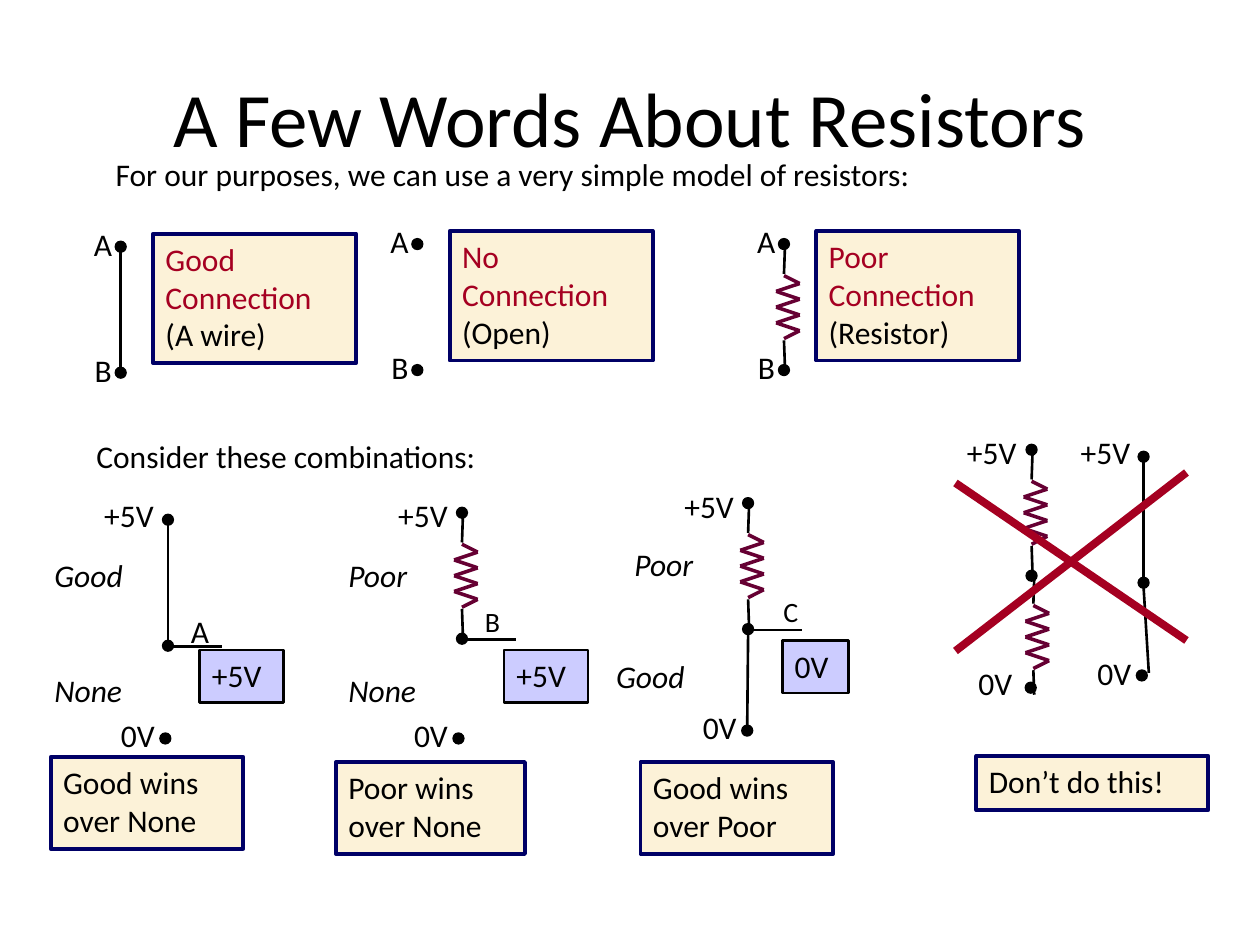
from lxml import etree
from pptx import Presentation
from pptx.dml.color import RGBColor
from pptx.enum.shapes import MSO_CONNECTOR, MSO_SHAPE
from pptx.enum.text import MSO_ANCHOR, MSO_AUTO_SIZE, PP_ALIGN
from pptx.oxml.ns import qn
from pptx.util import Pt

STRAIGHT, OVAL = MSO_CONNECTOR.STRAIGHT, MSO_SHAPE.OVAL
MIDDLE, CENTER = MSO_ANCHOR.MIDDLE, PP_ALIGN.CENTER
GROW = MSO_AUTO_SIZE.SHAPE_TO_FIT_TEXT
FONT = "Calibri"
BLACK, RED, PLUM = "000000", "A50021", "660033"
CREAM, NAVY, LILAC = "FCF2D8", "000066", "CCCCFF"
SPAN = 72  # distance between the two ends of a wire or resistor
LABEL_W = {"+5V": 47, "0V": 37, "Good": 58, "None": 57.5, "Poor": 52.5}


def rgb(value):
    return RGBColor.from_string(value)


def write(p, text, color=BLACK, size=18, italic=False):
    """Add runs to a paragraph, with a line break at each newline."""
    for i, part in enumerate(text.split("\n")):
        if i:
            p.add_line_break()
        if part:
            r = p.add_run()
            r.text = part
            f = r.font
            f.name, f.size, f.italic = FONT, Pt(size), italic
            f.color.rgb = rgb(color)


def add_text(shapes, text, x, y, w, h=29, wrap=False, fill=None, line=None,
             weight=1.5, lead="", **fmt):
    """Text box; lead is an opening part in red."""
    sp = shapes.add_textbox(Pt(x), Pt(y), Pt(w), Pt(h))
    tf = sp.text_frame
    tf.word_wrap, tf.auto_size = wrap, GROW
    if fill:
        sp.fill.solid()
        sp.fill.fore_color.rgb = rgb(fill)
        sp.line.color.rgb = rgb(line)
        sp.line.width = Pt(weight)
    p = tf.paragraphs[0]
    write(p, lead, color=RED)
    write(p, text, **fmt)


def add_label(shapes, text, x, y, **fmt):
    add_text(shapes, text, x, y, LABEL_W.get(text, 26.5), **fmt)


def add_note(shapes, text, x, y, w, h, lead=""):
    add_text(shapes, text, x, y, w, h, wrap=True, fill=CREAM, line=NAVY,
             weight=2.25, lead=lead)


def add_line(shapes, x1, y1, x2, y2, color=BLACK, weight=1.5):
    c = shapes.add_connector(STRAIGHT, Pt(x1), Pt(y1), Pt(x2), Pt(y2))
    c.line.color.rgb = rgb(color)
    c.line.width = Pt(weight)
    etree.SubElement(c._element.spPr, qn("a:effectLst"))


def add_dot(shapes, x, y):
    sp = shapes.add_shape(OVAL, Pt(x - 3), Pt(y - 3), Pt(6), Pt(6))
    sp.shadow.inherit = False
    sp.fill.solid()
    sp.fill.fore_color.rgb = rgb(BLACK)
    sp.line.color.rgb = rgb(BLACK)
    sp.line.width = Pt(1)


def add_node(shapes, text, x, y, dx, dy):
    """Dot with its label placed relative to it."""
    add_dot(shapes, x, y)
    add_label(shapes, text, x + dx, y + dy)


def add_wire(shapes, x, y):
    add_line(shapes, x, y + 3, x, y + SPAN - 3)


def add_resistor(shapes, x, y):
    """Zigzag of eight strokes between two short leads."""
    offsets = [0] + [9, -4.5] * 3 + [9, 0]
    pts = [(x + dx, y + 18 + 4.5 * i) for i, dx in enumerate(offsets)]
    for a, b in zip(pts, pts[1:]):
        add_line(shapes, *a, *b, color=PLUM, weight=2)
    add_line(shapes, x + 0.5, y + 3, x, y + 17)
    add_line(shapes, x + 0.5, y + SPAN - 3, x, y + 55)


def add_model(s, x, y, lead, text, link=None):
    """Two ends A and B, what links them, and a note."""
    g = s.shapes.add_group_shape().shapes
    add_node(g, "A", x, y, -22.5, -16)
    add_node(g, "B", x, y + SPAN, -22, -16)
    if link:
        link(g, x, y)
    add_note(g, text, x + 18.5, y - 7.5, 116, 74, lead=lead)


def add_combination(s, x, y, link, supply_dy, ground, upper, lower, tap, out,
                    verdict, linked=False):
    """Supply over tap over ground; each part is (text, x, y, ...)."""
    g = s.shapes.add_group_shape().shapes
    mid = y + SPAN
    add_node(g, "+5V", x, y, -43.5, supply_dy)
    add_dot(g, x, mid)
    link(g, x, y)
    add_node(g, "0V", *ground, -32.5, -16.5)
    if linked:
        add_line(g, ground[0], ground[1] - 3, x, mid + 3)
    for part in (upper, lower):
        add_label(g, *part, italic=True)
    # Output at the tap
    text, tx, ty, size = tap
    add_label(g, text, tx, ty, size=size)
    add_line(g, x + 1.5, mid + 0.5, x + 31, mid + 0.5)
    add_text(g, *out, h=30, fill=LILAC, line=BLACK)
    add_note(g, *verdict, 52.5)


def add_bad_circuits(s):
    """Crossed-out circuits: two resistors, and two wires."""
    g = s.shapes.add_group_shape().shapes
    x, y = 589.5, 257
    add_node(g, "+5V", x, y, -44, -13)
    add_dot(g, x, y + SPAN)
    add_node(g, "0V", 589, 393, -37, -17)
    add_resistor(g, x, y)
    add_resistor(g, x + 1, y + 71)

    x, y = 653.5, 261
    add_node(g, "+5V", x, y, -43, -17)
    add_dot(g, x, y + SPAN)
    add_node(g, "0V", 652.5, 386, -32.5, -16)
    add_wire(g, x, y)
    add_line(g, 656.5, 384.5, x, y + SPAN + 3)

    # Cross and warning
    add_line(g, 546, 276, 678, 366, color=RED, weight=4.5)
    add_line(g, 546, 372, 678, 270, color=RED, weight=4.5)
    add_note(g, "Don’t do this!", 558, 432, 132.5, 31)


def add_title(s, text):
    sp = s.shapes.title
    sp.left, sp.top, sp.width, sp.height = Pt(36), Pt(21.5), Pt(648), Pt(90)
    tf = sp.text_frame
    tf.vertical_anchor = MIDDLE
    p = tf.paragraphs[0]
    p.alignment = CENTER
    write(p, text, size=44)


def main():
    prs = Presentation()
    prs.slide_width, prs.slide_height = Pt(720), Pt(540)
    s = prs.slides.add_slide(prs.slide_layouts[5])
    add_title(s, "A Few Words About Resistors")

    # Three kinds of connection
    add_text(s.shapes, "For our purposes, we can use a very simple model of "
             "resistors:", 59, 85, 571, 31)
    add_model(s, 238.5, 139.5, "No\nConnection\n", "(Open)")
    add_model(s, 69, 141, "Good\nConnection\n", "(A wire)", add_wire)
    add_model(s, 448, 139.5, "Poor\nConnection\n", "(Resistor)", add_resistor)

    # Combinations
    add_text(s.shapes, "Consider these combinations:", 48, 246, 278, 31)
    add_combination(
        s, 96, 297, add_wire, -17, ground=(94.5, 422),
        upper=("Good", 24, 314), lower=("None", 24, 380),
        tap=("A", 102, 346, 18), out=("+5V", 114, 371.5, 48),
        verdict=("Good wins\nover None", 29, 432.5, 110))
    add_combination(
        s, 264, 293, add_resistor, -13, ground=(262, 422),
        upper=("Poor", 192, 314), lower=("None", 192, 380),
        tap=("B", 270, 342, 16), out=("+5V", 288, 371.5, 48),
        verdict=("Poor wins\nover None", 192, 435.5, 108))
    add_combination(
        s, 427.5, 287.5, add_resistor, -13, ground=(427, 417.5),
        upper=("Poor", 355.5, 308), lower=("Good", 345, 372),
        tap=("C", 440.5, 336, 16), out=("0V", 447, 366, 38),
        verdict=("Good wins\nover Poor", 366, 435.5, 110), linked=True)
    add_bad_circuits(s)

    prs.save("out.pptx")


if __name__ == "__main__":
    main()
